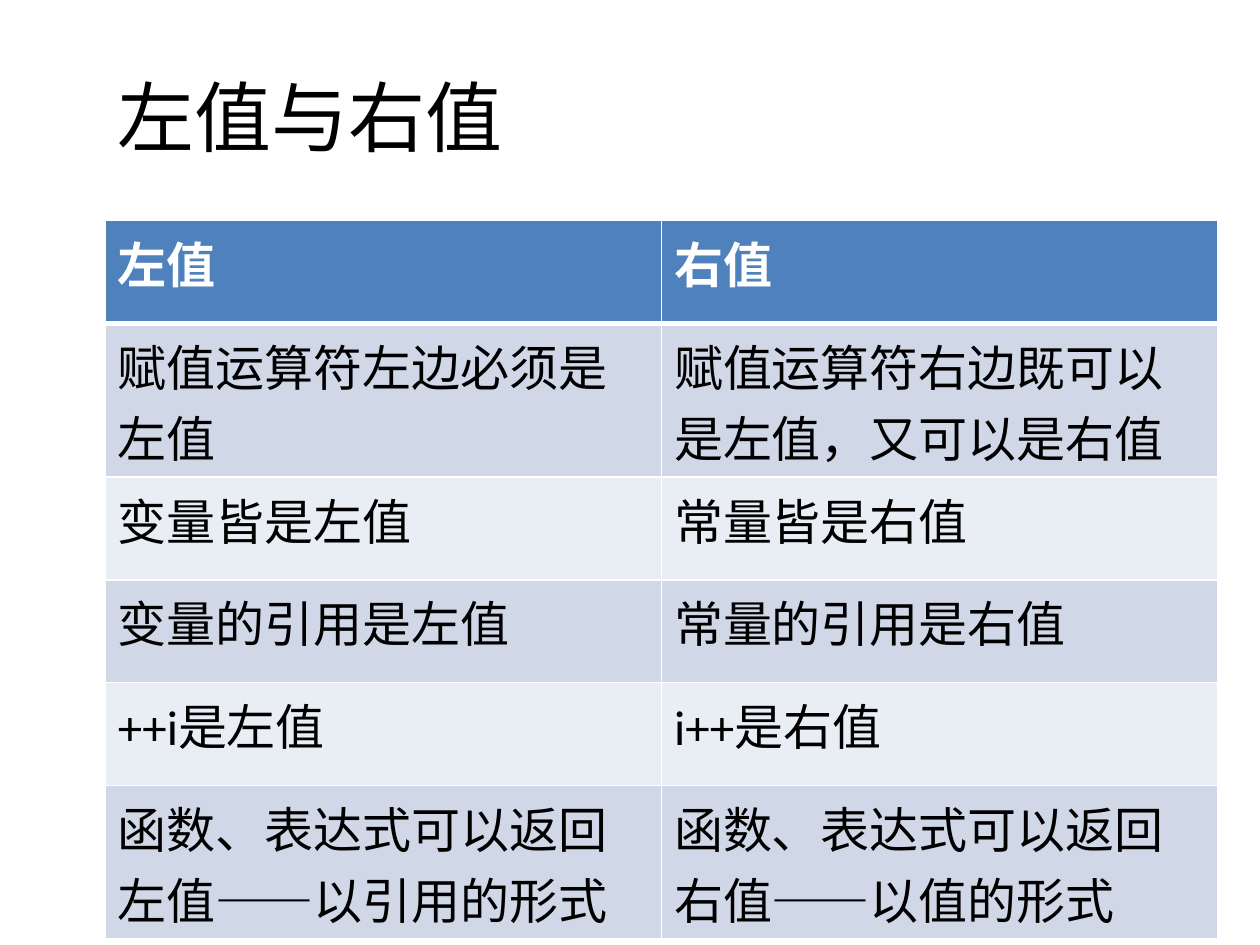
from lxml import etree
from pptx import Presentation
from pptx.dml.color import RGBColor
from pptx.enum.text import MSO_ANCHOR
from pptx.oxml.ns import qn
from pptx.util import Cm, Pt

MIDDLE = MSO_ANCHOR.MIDDLE
FONT = "Calibri"
COLORS = {
    "text": "000000",
    "white": "FFFFFF",
    "head": "4F81BD",
    "odd": "D0D8E8",
    "even": "E9EDF4",
}
ROWS = [
    ("左值", "右值"),
    ("赋值运算符左边必须是左值", "赋值运算符右边既可以是左值，又可以是右值"),
    ("变量皆是左值", "常量皆是右值"),
    ("变量的引用是左值", "常量的引用是右值"),
    ("++i是左值", "i++是右值"),
    ("函数、表达式可以返回左值——以引用的形式", "函数、表达式可以返回右值——以值的形式"),
]
# Row heights for one and two lines of text
ONE, TWO = 2.07, 3.1
HEIGHTS = [ONE, TWO, ONE, ONE, ONE, TWO]


def rgb(name):
    return RGBColor.from_string(COLORS[name])


def set_font(para, size, color, bold=False):
    font = para.font
    font.name, font.size, font.bold = FONT, Pt(size), bold
    font.color.rgb = rgb(color)


def add_edges(cell, widths):
    """Draw white cell borders; widths are points for each side."""
    props = cell._tc.get_or_add_tcPr()
    for side, width in widths.items():
        line = etree.SubElement(props, qn(f"a:ln{side}"), w=str(Pt(width)))
        fill = etree.SubElement(line, qn("a:solidFill"))
        etree.SubElement(fill, qn("a:srgbClr"), val=COLORS["white"])


def add_title(slide, left, top, width, height):
    box = slide.shapes.add_textbox(Cm(left), Cm(top), Cm(width), Cm(height))
    frame = box.text_frame
    frame.word_wrap = True
    frame.vertical_anchor = MIDDLE
    para = frame.paragraphs[0]
    para.text = "左值与右值"
    set_font(para, 44, "text")


def add_grid(slide, left, top, width):
    frame = slide.shapes.add_table(
        len(ROWS), len(ROWS[0]), Cm(left), Cm(top), Cm(width), Cm(sum(HEIGHTS)))
    table = frame.table
    for i, texts in enumerate(ROWS):
        table.rows[i].height = Cm(HEIGHTS[i])
        head = i == 0
        shade = "head" if head else "odd" if i % 2 else "even"
        for j, text in enumerate(texts):
            cell = table.cell(i, j)
            # The rule under the header is thicker
            add_edges(cell, {"L": 1, "R": 1, "T": 3 if i == 1 else 1,
                             "B": 3 if head else 1})
            cell.fill.solid()
            cell.fill.fore_color.rgb = rgb(shade)
            para = cell.text_frame.paragraphs[0]
            para.text = text
            set_font(para, 28, "white" if head else "text", head)


def main():
    deck = Presentation()
    deck.slide_width, deck.slide_height = Cm(25.4), Cm(19.05)
    slide = deck.slides.add_slide(deck.slide_layouts[6])
    # Title above the comparison table
    add_title(slide, 2.12, 0.74, 22.43, 3.17)
    add_grid(slide, 2.12, 4.45, 22.43)
    deck.save("out.pptx")


if __name__ == "__main__":
    main()
